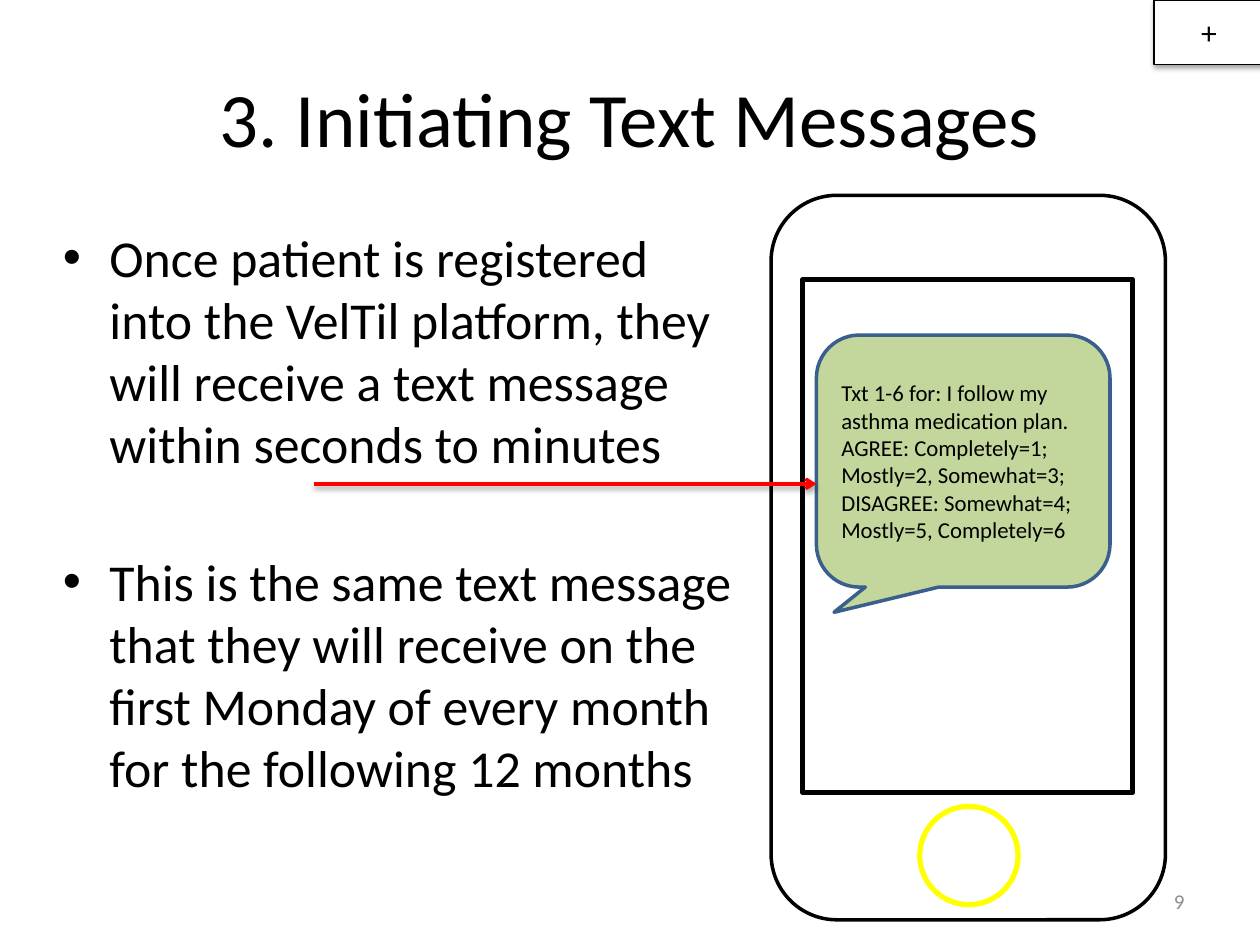
from dataclasses import dataclass
from typing import Optional

from lxml import etree
from pptx import Presentation
from pptx.dml.color import RGBColor
from pptx.enum.shapes import MSO_CONNECTOR, MSO_SHAPE
from pptx.enum.text import MSO_ANCHOR, PP_ALIGN
from pptx.oxml.ns import qn
from pptx.util import Inches, Pt

RECT = MSO_SHAPE.RECTANGLE
ROUND = MSO_SHAPE.ROUNDED_RECTANGLE
BUBBLE = MSO_SHAPE.ROUNDED_RECTANGULAR_CALLOUT
OVAL = MSO_SHAPE.OVAL
STRAIGHT = MSO_CONNECTOR.STRAIGHT
LEFT, CENTER, RIGHT = PP_ALIGN.LEFT, PP_ALIGN.CENTER, PP_ALIGN.RIGHT
TOP, MIDDLE = MSO_ANCHOR.TOP, MSO_ANCHOR.MIDDLE

FONT = "Calibri"
HEX = {
    "black": "000000", "white": "FFFFFF", "green": "C3D69B", "blue": "3A5F8C",
    "yellow": "FFFF00", "red": "FF0000", "gray": "8C8C8C",
}


@dataclass
class Part:
    kind: int
    box: tuple
    fill: Optional[str]
    line: str
    width: float
    lines: tuple = ()
    size: float = 18
    align: int = CENTER
    adjust: tuple = ()
    shade: int = 0


PARTS = [
    Part(RECT, (9.16, 0, 0.87, 0.51), "white", "black", 0.75, ("+",), shade=35),
    Part(ROUND, (6.12, 1.55, 3.13, 5.75), "white", "black", 2),
    Part(RECT, (6.37, 2.22, 2.62, 4.07), "white", "black", 2.75),
    Part(BUBBLE, (6.48, 2.66, 2.33, 2), "green", "blue", 2,
         ("Txt 1-6 for: I follow my asthma medication plan.",
          "AGREE: Completely=1;", "Mostly=2, Somewhat=3;",
          "DISAGREE: Somewhat=4;", "Mostly=5, Completely=6"),
         13, LEFT, (-0.44, 0.6, 0.17)),
    Part(OVAL, (7.3, 6.4, 0.78, 0.78), None, "yellow", 3),
]

POINTS = (
    "Once patient is registered into the VelTil platform, they will receive "
    "a text message within seconds to minutes",
    "This is the same text message that they will receive on the first Monday "
    "of every month for the following 12 months",
)


def color(name: str) -> RGBColor:
    return RGBColor.from_string(HEX[name])


def assign(item, values: dict) -> None:
    for key, value in values.items():
        setattr(item, key, value)


def place(shape, box: tuple) -> None:
    assign(shape, dict(zip(("left", "top", "width", "height"), map(Inches, box))))


def write(frame, lines: tuple, size: float, align: int = LEFT,
          anchor: int = MIDDLE, ink: str = "black") -> None:
    assign(frame, {"word_wrap": True, "vertical_anchor": anchor})
    for index, line in enumerate(lines):
        para = frame.paragraphs[0] if index == 0 else frame.add_paragraph()
        para.alignment = align
        run = para.add_run()
        run.text = line
        assign(run.font, {"name": FONT, "size": Pt(size)})
        run.font.color.rgb = color(ink)


def shade(shape, alpha: int) -> None:
    props = shape._element.spPr
    for old in props.findall(qn("a:effectLst")):
        props.remove(old)
    effect = etree.SubElement(props, qn("a:effectLst"))
    outer = etree.SubElement(effect, qn("a:outerShdw"), blurRad=str(Pt(3.1)),
                             dist=str(Pt(1.7)), dir="5400000", rotWithShape="0")
    ink = etree.SubElement(outer, qn("a:srgbClr"), val=HEX["black"])
    etree.SubElement(ink, qn("a:alpha"), val=str(alpha * 1000))


def draw(slide, part: Part) -> None:
    shape = slide.shapes.add_shape(part.kind, *map(Inches, part.box))
    shape.shadow.inherit = False
    for index, value in enumerate(part.adjust):
        shape.adjustments[index] = value
    if part.fill:
        shape.fill.solid()
        shape.fill.fore_color.rgb = color(part.fill)
    else:
        shape.fill.background()
    shape.line.color.rgb = color(part.line)
    shape.line.width = Pt(part.width)
    write(shape.text_frame, part.lines, part.size, part.align)
    if part.shade:
        shade(shape, part.shade)


def label(slide, box: tuple, lines: tuple, size: float, **style):
    shape = slide.shapes.add_textbox(*map(Inches, box))
    write(shape.text_frame, lines, size, **style)
    return shape.text_frame


def bullets(slide) -> None:
    frame = label(slide, (0.4, 1.74, 5.58, 4.95), POINTS, 29.6, anchor=TOP)
    for para, gap in zip(frame.paragraphs, (2, 43)):
        para.space_before = Pt(gap)
        props = para._p.get_or_add_pPr()
        props.set("marL", str(Inches(0.37)))
        props.set("indent", str(Inches(-0.37)))
        etree.SubElement(props, qn("a:buFont"), typeface="Arial")
        etree.SubElement(props, qn("a:buChar"), char="•")


def arrow(slide, start: tuple, end: tuple) -> None:
    line = slide.shapes.add_connector(STRAIGHT, *map(Inches, start + end))
    line.line.color.rgb = color("red")
    line.line.width = Pt(2)
    etree.SubElement(line.line._get_or_add_ln(), qn("a:tailEnd"), type="arrow")
    shade(line, 38)


def main() -> None:
    deck = Presentation()
    assign(deck, {"slide_width": Inches(10), "slide_height": Inches(7.5)})
    slide = deck.slides.add_slide(deck.slide_layouts[5])
    title = slide.shapes.title
    place(title, (0.5, 0.3, 9, 1.25))
    write(title.text_frame, ("3. Initiating Text Messages",), 44, CENTER)
    bullets(slide)
    for part in PARTS:
        draw(slide, part)
    arrow(slide, (2.49, 3.84), (6.48, 3.84))
    label(slide, (7.17, 6.95, 2.33, 0.4), ("9",), 12, align=RIGHT, ink="gray")
    deck.save("out.pptx")


if __name__ == "__main__":
    main()
